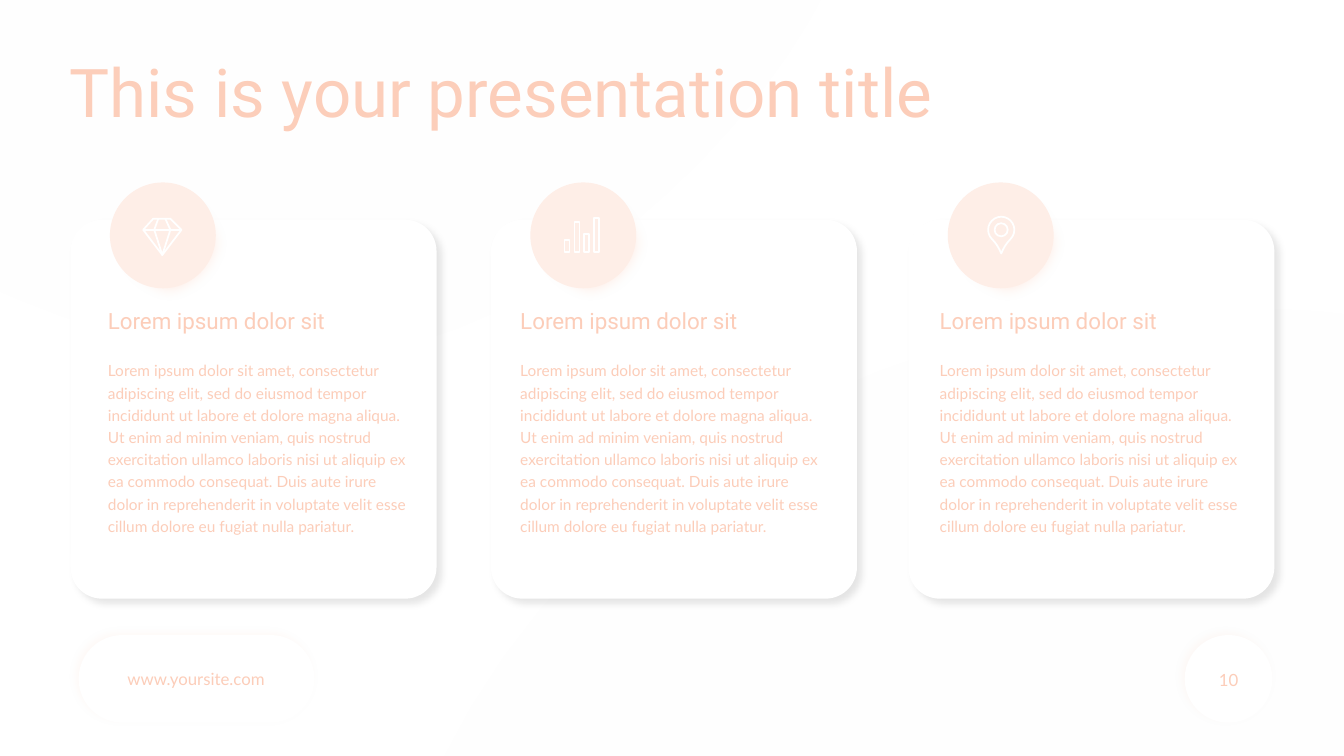
from lxml import etree
from pptx import Presentation
from pptx.dml.color import RGBColor
from pptx.enum.shapes import MSO_SHAPE
from pptx.enum.text import MSO_ANCHOR, PP_ALIGN
from pptx.oxml.ns import qn
from pptx.util import Inches, Pt

PEACH, BLUSH, WHITE = "FCCDB9", "FEEEE7", "FFFFFF"
HEAD = "Lorem ipsum dolor sit"
BODY = (
    "Lorem ipsum dolor sit amet, consectetur adipiscing elit, sed do eiusmod "
    "tempor incididunt ut labore et dolore magna aliqua. Ut enim ad minim "
    "veniam, quis nostrud exercitation ullamco laboris nisi ut aliquip ex ea "
    "commodo consequat. Duis aute irure dolor in reprehenderit in voluptate "
    "velit esse cillum dolore eu fugiat nulla pariatur."
)


def paint(shape, fill=None, alpha=100, shade=None, angle=45, dist=5, soft=0):
    """Fill a shape, or give it a white outline when there is no fill."""
    shape.shadow.inherit = False
    if fill is None:
        shape.fill.background()
        shape.line.color.rgb = RGBColor.from_string(WHITE)
        shape.line.width = Pt(1.25)
        return
    shape.fill.solid()
    shape.fill.fore_color.rgb = RGBColor.from_string(fill)
    shape.line.fill.background()
    props = shape._element.spPr
    if alpha < 100:
        color = props.find(qn("a:solidFill"))[0]
        etree.SubElement(color, qn("a:alpha"), val=str(alpha * 1000))
    effects = props.find(qn("a:effectLst"))
    if shade:
        outer = etree.SubElement(
            effects, qn("a:outerShdw"), blurRad=str(Pt(5)), dist=str(Pt(dist)),
            dir=str(angle * 60000), algn="ctr", rotWithShape="0")
        color = etree.SubElement(outer, qn("a:srgbClr"), val=shade)
        etree.SubElement(color, qn("a:alpha"), val="10000")
    if soft:
        etree.SubElement(effects, qn("a:softEdge"), rad=str(Pt(soft)))


def write(box, text, font, size, space=1.0, align=PP_ALIGN.LEFT, inset=0.0):
    frame = box.text_frame
    frame.word_wrap = True
    frame.vertical_anchor = MSO_ANCHOR.TOP
    frame.margin_left = frame.margin_right = Inches(inset)
    frame.margin_top = frame.margin_bottom = Inches(inset / 2)
    frame.text = text
    para = frame.paragraphs[0]
    para.alignment = align
    para.line_spacing = space
    para.space_before = Pt(0)
    para.font.name = font
    para.font.size = Pt(size)
    para.font.color.rgb = RGBColor.from_string(PEACH)


deck = Presentation()
deck.slide_width, deck.slide_height = Inches(13.33), Inches(7.5)
slide = deck.slides.add_slide(deck.slide_layouts[5])
shapes = slide.shapes

# Background blobs: a start point, then cubic curves
blobs = [
    ((8.52, -2.22), [
        (9.06, -0.6, 7.17, 1.84, 5.26, 2.92),
        (3.34, 3.99, 1.41, 3.72, -1.24, 2.29),
        (-3.9, 0.88, -7.27, -1.7, -6.83, -3.2),
        (-6.41, -4.7, -2.16, -5.1, 1.44, -4.9),
        (5.04, -4.68, 7.99, -3.85, 8.52, -2.22)]),
    ((19.8, 6.97), [
        (20.57, 9.45, 18.28, 12.8, 15.15, 15.1),
        (12.02, 17.4, 8.06, 18.62, 5.77, 17.07),
        (3.5, 15.52, 2.92, 11.2, 4.13, 8.12),
        (5.34, 5.04, 8.36, 3.2, 11.78, 3.06),
        (15.2, 2.93, 19.04, 4.51, 19.8, 6.97)]),
]
for start, curves in blobs:
    dots = [start]
    for a, b, c, d, e, f in curves:
        x, y = dots[-1]
        for step in range(1, 17):
            t = step / 16
            u = 1 - t
            dots.append((
                u**3 * x + 3 * u * u * t * a + 3 * u * t * t * c + t**3 * e,
                u**3 * y + 3 * u * u * t * b + 3 * u * t * t * d + t**3 * f))
    dots = [(Inches(x), Inches(y)) for x, y in dots]
    blob = shapes.build_freeform(*dots[0])
    blob.add_line_segments(dots[1:])
    paint(blob.convert_to_shape(), BLUSH, alpha=3)

# Footer
for left, width in [(0.78, 2.34), (11.75, 0.87)]:
    pill = shapes.add_shape(MSO_SHAPE.ROUNDED_RECTANGLE, Inches(left),
                            Inches(6.3), Inches(width), Inches(0.87))
    pill.adjustments[0] = 0.5
    paint(pill, WHITE, shade=PEACH, angle=225, dist=3)
for text, left, top, width, height, align in [
        ("10", 9.38, 6.54, 3, 0.4, PP_ALIGN.RIGHT),
        ("www.yoursite.com", 1.15, 6.58, 1.59, 0.3, PP_ALIGN.CENTER)]:
    box = shapes.add_textbox(Inches(left), Inches(top),
                             Inches(width), Inches(height))
    write(box, text, "Lato", 12, align=align, inset=0.1)
    box.text_frame.vertical_anchor = MSO_ANCHOR.MIDDLE

title = shapes.title
title.left, title.top = Inches(0.69), Inches(0.59)
title.width, title.height = Inches(10.7), Inches(1.09)
write(title, "This is your presentation title", "Roboto", 48, 0.9)

# Cards: left edge of the card and of its text
for left, edge in [(0.7, 1.07), (4.87, 5.16), (9.01, 9.32)]:
    for dx, top, width, height, bend, shade in [
            (0, 2.18, 3.63, 3.76, 0.086, "000000"),
            (0.14, 2.38, 3.35, 3.37, 0.043, None)]:
        card = shapes.add_shape(
            MSO_SHAPE.ROUNDED_RECTANGLE, Inches(left + dx), Inches(top),
            Inches(width), Inches(height))
        card.adjustments[0] = bend
        paint(card, WHITE, shade=shade)
    for dx, top, size, fill, alpha, soft in [
            (0.38, 1.81, 1.21, PEACH, 40, 10),
            (0.39, 1.81, 1.05, BLUSH, 100, 0),
            (0.52, 1.94, 0.8, BLUSH, 100, 0)]:
        disc = shapes.add_shape(MSO_SHAPE.OVAL, Inches(left + dx), Inches(top),
                                Inches(size), Inches(size))
        paint(disc, fill, alpha, soft=soft)
    for text, top, height, font, size, space in [
            (HEAD, 3.08, 0.4, "Roboto", 16, 0.9),
            (BODY, 3.55, 1.98, "Lato", 11, 1.2)]:
        box = shapes.add_textbox(Inches(edge), Inches(top),
                                 Inches(3.02), Inches(height))
        write(box, text, font, size, space)

# Diamond icon: rim, girdle and facets
gem = None
for line in [
        [(1.42, 2.28), (1.52, 2.17), (1.69, 2.17), (1.8, 2.28), (1.61, 2.53),
         (1.42, 2.28)],
        [(1.42, 2.28), (1.8, 2.28)],
        [(1.57, 2.17), (1.53, 2.28), (1.61, 2.53), (1.69, 2.28), (1.64, 2.17)]]:
    dots = [(Inches(x), Inches(y)) for x, y in line]
    if gem is None:
        gem = shapes.build_freeform(*dots[0])
    else:
        gem.move_to(*dots[0])
    gem.add_line_segments(dots[1:], close=False)
paint(gem.convert_to_shape())

# Bar icon
for index, top in enumerate([2.38, 2.2, 2.32, 2.16]):
    bar = shapes.add_shape(
        MSO_SHAPE.RECTANGLE, Inches(5.6 + index * 0.097), Inches(top),
        Inches(0.05), Inches(2.5 - top))
    paint(bar)

# Pin icon
for kind, size in [(MSO_SHAPE.TEAR, 0.26), (MSO_SHAPE.OVAL, 0.13)]:
    pin = shapes.add_shape(kind, Inches(9.93 - size / 2),
                           Inches(2.28 - size / 2), Inches(size), Inches(size))
    if kind == MSO_SHAPE.TEAR:
        pin.adjustments[0] = 1.28
        pin.rotation = 135
    paint(pin)

deck.save("out.pptx")
